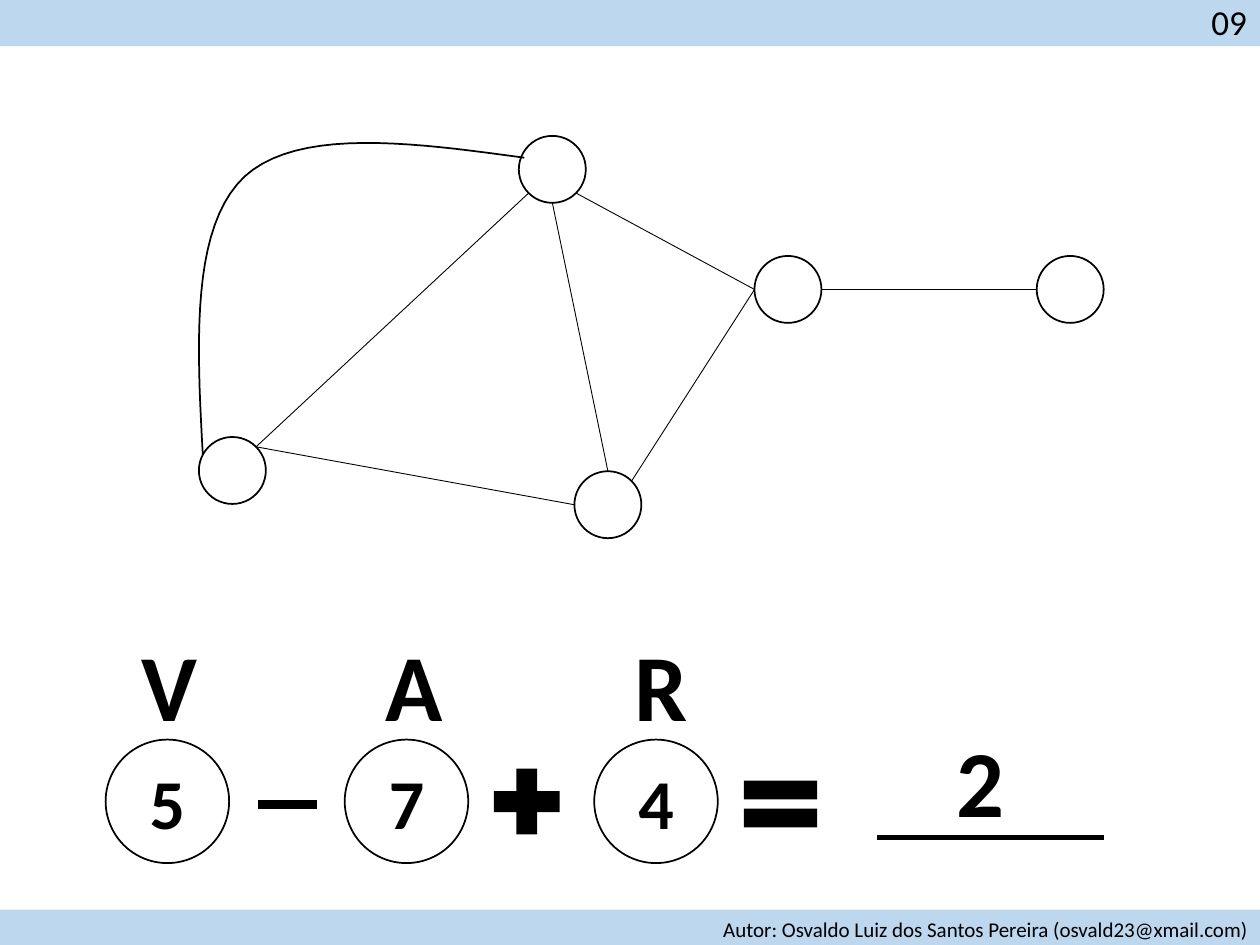
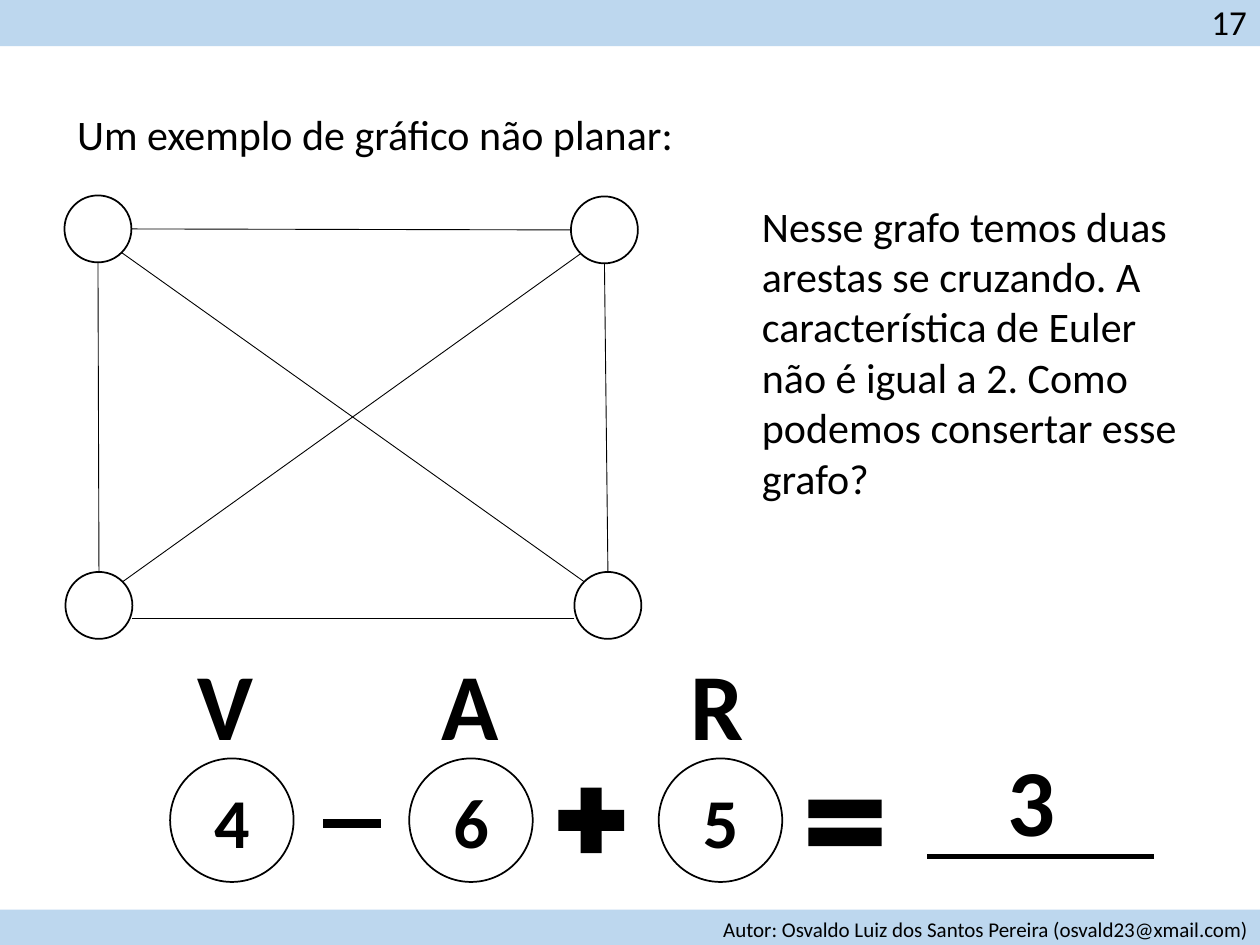
"""Build two slides on the Euler characteristic of planar and non-planar graphs."""
from dataclasses import dataclass
from math import cos, pi, sin

from lxml.etree import SubElement
from pptx import Presentation
from pptx.dml.color import RGBColor
from pptx.enum.shapes import MSO_CONNECTOR, MSO_SHAPE
from pptx.enum.text import MSO_ANCHOR, MSO_AUTO_SIZE, PP_ALIGN
from pptx.oxml.ns import qn
from pptx.shapes.autoshape import Shape
from pptx.slide import Slide
from pptx.text.text import TextFrame
from pptx.util import Cm, Pt

BLACK = RGBColor(0x00, 0x00, 0x00)
BAND = RGBColor(0xBD, 0xD7, 0xEE)
FONT = "Calibri"
WIDTH, HEIGHT = 25.4, 19.05
NODE, DISC = 1.35, 2.49
AUTHOR = "Autor: Osvaldo Luiz dos Santos Pereira (osvald23@xmail.com)"
TOP, TOP_LEFT, LEFT, LOW_LEFT, LOW, LOW_RIGHT, RIGHT, TOP_RIGHT = range(8)


@dataclass(frozen=True)
class Box:
    left: float
    top: float
    width: float
    height: float

    def cm(self) -> tuple[Cm, Cm, Cm, Cm]:
        return Cm(self.left), Cm(self.top), Cm(self.width), Cm(self.height)


@dataclass(frozen=True)
class Node:
    left: float
    top: float

    def site(self, index: int) -> tuple[float, float]:
        turn, half = index * pi / 4, NODE / 2
        return self.left + half - half * sin(turn), self.top + half - half * cos(turn)


@dataclass(frozen=True)
class Edge:
    start: str
    begin: int
    stop: str
    end: int
    drop: float = 0


@dataclass(frozen=True)
class Sign:
    kind: MSO_SHAPE
    box: Box


@dataclass(frozen=True)
class Sum:
    left: float
    top: float
    label: float
    rule: float
    counts: tuple[str, str, str]
    total: str


DISCS = (0, 4.82, 9.85)
LABELS = (("V", 0), ("A", 4.93), ("R", 9.91))
SIGNS = (
    Sign(MSO_SHAPE.MATH_MINUS, Box(2.87, 0.91, 1.6, 0.79)),
    Sign(MSO_SHAPE.MATH_PLUS, Box(7.59, 0.35, 1.8, 1.8)),
    Sign(MSO_SHAPE.MATH_EQUAL, Box(12.6, 0.5, 2.01, 1.6)),
)
PLANAR = {
    "a": Node(10.46, 2.74),
    "b": Node(11.58, 9.5),
    "c": Node(4.01, 8.81),
    "d": Node(15.21, 5.16),
    "e": Node(20.9, 5.16),
}
PLANAR_EDGES = (
    Edge("c", TOP_RIGHT, "a", LOW_LEFT),
    Edge("d", LEFT, "a", LOW_RIGHT),
    Edge("c", TOP_RIGHT, "b", LEFT),
    Edge("b", TOP_RIGHT, "d", LEFT),
    Edge("e", LEFT, "d", RIGHT),
    Edge("b", TOP, "a", LOW),
)
CROSSED = {
    "a": Node(1.3, 3.94),
    "b": Node(11.51, 3.96),
    "c": Node(1.32, 11.53),
    "d": Node(11.58, 11.53),
}
CROSSED_EDGES = (
    Edge("c", TOP, "a", LOW),
    Edge("b", LEFT, "a", RIGHT),
    Edge("d", LEFT, "c", RIGHT, 0.26),
    Edge("d", TOP, "b", LOW),
    Edge("b", LOW_LEFT, "c", TOP_RIGHT),
    Edge("d", TOP_LEFT, "a", LOW_RIGHT),
)
ARC = (
    ((4.09, 9.17), (3.96, 6.86), (3.86, 4.57), (4.93, 3.56)),
    ((4.93, 3.56), (6.02, 2.57), (8.31, 2.87), (10.57, 3.18)),
)


def write(frame: TextFrame, text: str, size: int, bold: bool = False,
          align: PP_ALIGN = PP_ALIGN.LEFT, anchor: MSO_ANCHOR = MSO_ANCHOR.TOP) -> None:
    frame.auto_size = MSO_AUTO_SIZE.NONE
    frame.vertical_anchor = anchor
    frame.text = text
    line = frame.paragraphs[0]
    line.alignment = align
    line.font.name, line.font.size, line.font.bold = FONT, Pt(size), bold
    line.font.color.rgb = BLACK


def note(slide: Slide, box: Box, text: str, size: int, wrap: bool = True) -> None:
    frame = slide.shapes.add_textbox(*box.cm()).text_frame
    frame.word_wrap = wrap
    write(frame, text, size)


def mark(slide: Slide, box: Box, text: str, size: int, bold: bool = True) -> None:
    frame = slide.shapes.add_textbox(*box.cm()).text_frame
    frame.word_wrap = False
    write(frame, text, size, bold, PP_ALIGN.CENTER, MSO_ANCHOR.MIDDLE)


def solid(slide: Slide, kind: MSO_SHAPE, box: Box, color: RGBColor) -> None:
    shape = slide.shapes.add_shape(kind, *box.cm())
    shape.shadow.inherit = False
    shape.fill.solid()
    shape.fill.fore_color.rgb = color
    shape.line.fill.background()


def outline(shape: Shape) -> None:
    shape.shadow.inherit = False
    shape.fill.background()
    shape.line.color.rgb = BLACK
    shape.line.width = Pt(1)


def ring(slide: Slide, left: float, top: float, size: float) -> Shape:
    shape = slide.shapes.add_shape(MSO_SHAPE.OVAL, *Box(left, top, size, size).cm())
    outline(shape)
    return shape


def stroke(slide: Slide, start: tuple[float, float], stop: tuple[float, float],
           width: float) -> None:
    ends = [Cm(value) for value in (*start, *stop)]
    line = slide.shapes.add_connector(MSO_CONNECTOR.STRAIGHT, *ends)
    line.line.color.rgb = BLACK
    line.line.width = Pt(width)
    SubElement(line._element.spPr, qn("a:effectLst"))


def graph(slide: Slide, nodes: dict[str, Node], edges: tuple[Edge, ...]) -> None:
    for node in nodes.values():
        ring(slide, node.left, node.top, NODE)
    for edge in edges:
        ends = (nodes[edge.start].site(edge.begin), nodes[edge.stop].site(edge.end))
        start, stop = [(x, y + edge.drop) for x, y in ends]
        stroke(slide, start, stop, 0.5)


def curve(slide: Slide, parts: tuple, steps: int = 20) -> None:
    points = []
    for part in parts:
        for step in range(1, steps + 1):
            t = step / steps
            weights = ((1 - t) ** 3, 3 * t * (1 - t) ** 2, 3 * t * t * (1 - t), t ** 3)
            points.append(tuple(
                Cm(sum(w * p[axis] for w, p in zip(weights, part))) for axis in (0, 1)))
    x, y = parts[0][0]
    path = slide.shapes.build_freeform(Cm(x), Cm(y))
    path.add_line_segments(points, close=False)
    outline(path.convert_to_shape())


def euler(slide: Slide, data: Sum) -> None:
    for shift, count in zip(DISCS, data.counts):
        disc = ring(slide, data.left + shift, data.top, DISC)
        write(disc.text_frame, count, 40, True, PP_ALIGN.CENTER, MSO_ANCHOR.MIDDLE)
    for sign in SIGNS:
        box = sign.box
        place = Box(data.left + box.left, data.top + box.top, box.width, box.height)
        solid(slide, sign.kind, place, BLACK)
    for text, shift in LABELS:
        mark(slide, Box(data.label + shift, data.top - 2.41, 2.21, 2.57), text, 54)
    level = data.top + 1.97
    stroke(slide, (data.rule, level), (data.rule + 4.57, level), 3)
    mark(slide, Box(data.rule + 0.99, data.top - 0.47, 2.21, 2.57), data.total, 54)


def frame(slide: Slide, number: str) -> None:
    solid(slide, MSO_SHAPE.RECTANGLE, Box(0, 18.34, WIDTH, 0.71), BAND)
    note(slide, Box(14.33, 18.36, 11.23, 0.76), AUTHOR, 12, False)
    solid(slide, MSO_SHAPE.RECTANGLE, Box(0, 0, WIDTH, 0.93), BAND)
    mark(slide, Box(24.16, -0.13, 1.24, 1.12), number, 20, False)


def planar(deck: Presentation) -> None:
    slide = deck.slides.add_slide(deck.slide_layouts.get_by_name("Blank"))
    graph(slide, PLANAR, PLANAR_EDGES)
    curve(slide, ARC)
    euler(slide, Sum(2.13, 14.91, 2.31, 17.68, ("5", "7", "4"), "2"))
    frame(slide, "09")


def crossed(deck: Presentation) -> None:
    slide = deck.slides.add_slide(deck.slide_layouts.get_by_name("Title Only"))
    title = slide.shapes.title
    title.left, title.top, title.width, title.height = Box(1.3, 2.06, 20, 1.27).cm()
    write(title.text_frame, "Um exemplo de gráfico não planar:", 24)
    graph(slide, CROSSED, CROSSED_EDGES)
    note(slide, Box(15.11, 3.91, 9.32, 6.4),
         "Nesse grafo temos duas arestas se cruzando. A característica de Euler "
         "não é igual a 2. Como podemos consertar esse grafo?", 24)
    euler(slide, Sum(3.43, 15.29, 3.45, 18.69, ("4", "6", "5"), "3"))
    frame(slide, "17")


def main() -> None:
    deck = Presentation()
    deck.slide_width, deck.slide_height = Cm(WIDTH), Cm(HEIGHT)
    planar(deck)
    crossed(deck)
    deck.save("out.pptx")


if __name__ == "__main__":
    main()
